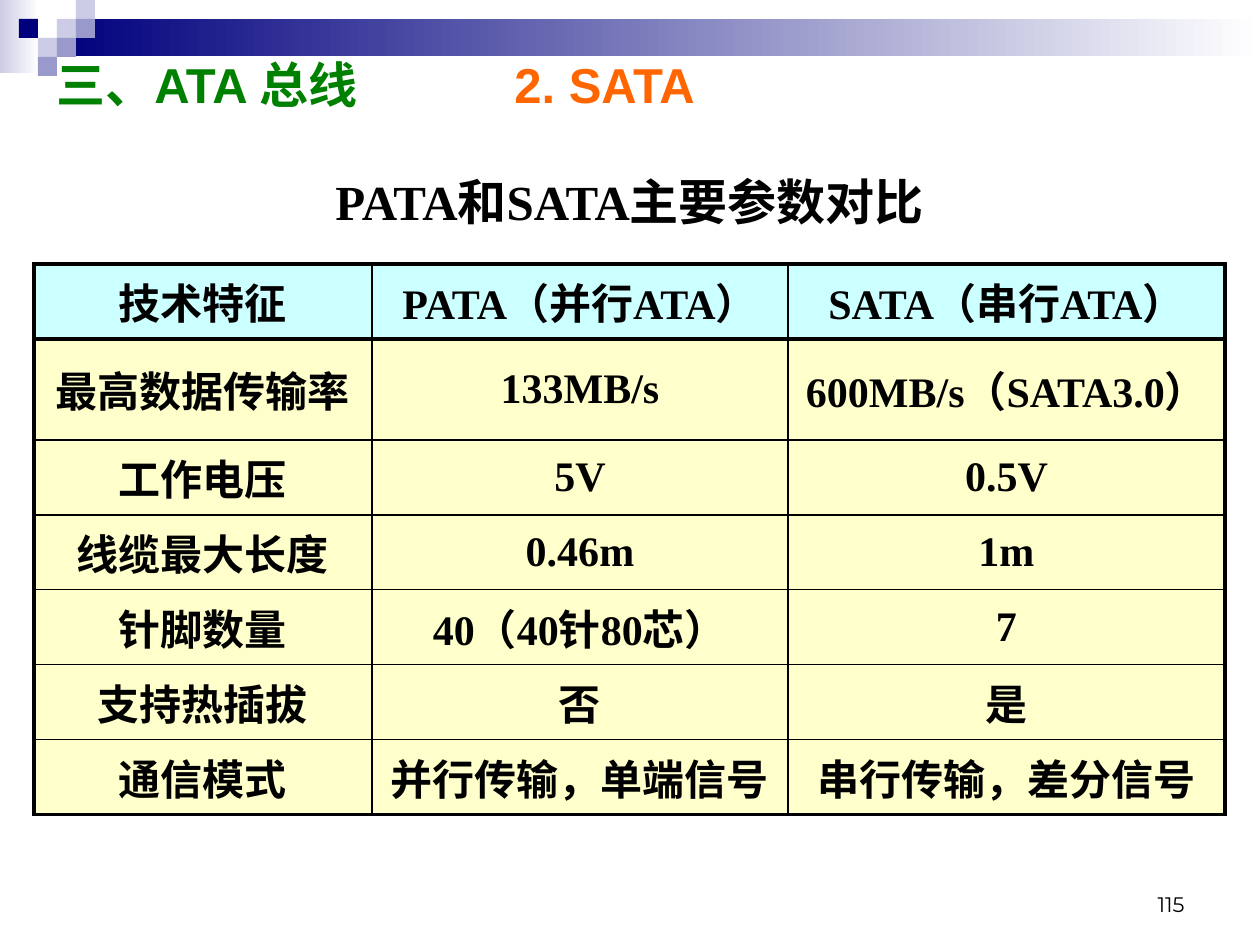
import lxml.etree
import pptx
import pptx.dml.color
import pptx.enum.shapes
import pptx.enum.text
import pptx.oxml.ns
import pptx.util

SCALE = 914400 / 126  # EMU per px
ALIGN = pptx.enum.text.PP_ALIGN
ANCHOR = pptx.enum.text.MSO_ANCHOR
BLACK, NAVY, PALE, MID = "000000", "00007D", "CCCCE6", "9999CC"
SERIF = "Times New Roman"
THIN, THICK = 1, 2.25


def px(n):
    return pptx.util.Emu(round(n * SCALE))


def color(text):
    return pptx.dml.color.RGBColor.from_string(text)


def add_tag(parent, name, **attrs):
    return lxml.etree.SubElement(parent, pptx.oxml.ns.qn(name), attrs)


class Deck:
    def __init__(self, wide, high):
        self.prs = pptx.Presentation()
        self.prs.slide_width, self.prs.slide_height = px(wide), px(high)
        self.slide = self.prs.slides.add_slide(self.prs.slide_layouts[6])

    def rect(self, box, *fills):
        """One fill is solid, two make a gradient from left to right."""
        kind = pptx.enum.shapes.MSO_SHAPE.RECTANGLE
        shape = self.slide.shapes.add_shape(kind, *map(px, box))
        shape.shadow.inherit = False
        shape.line.fill.background()
        if len(fills) == 1:
            shape.fill.solid()
            shape.fill.fore_color.rgb = color(fills[0])
        else:
            shape.fill.gradient()
            shape.fill.gradient_angle = 0
            for stop, tone in zip(shape.fill.gradient_stops, fills):
                stop.color.rgb = color(tone)

    def put(self, par, text, size, face, tone=BLACK, bold=True):
        run = par.add_run()
        run.text = text
        font = run.font
        font.size, font.name, font.bold = pptx.util.Pt(size), face, bold
        font.color.rgb = color(tone)

    def text(self, box, anchor, align):
        frame = self.slide.shapes.add_textbox(*map(px, box)).text_frame
        frame.word_wrap = True
        frame.vertical_anchor = anchor
        par = frame.paragraphs[0]
        par.alignment = align
        return par

    def tab(self, par, pos):
        tabs = add_tag(par._p.get_or_add_pPr(), "a:tabLst")
        add_tag(tabs, "a:tab", pos=str(px(pos)), algn="l")

    def cell(self, cell, text, fill, edges):
        props = cell._tc.get_or_add_tcPr()
        for side, width in edges.items():
            line = add_tag(props, "a:ln" + side, w=str(pptx.util.Pt(width)))
            add_tag(add_tag(line, "a:solidFill"), "a:srgbClr", val=BLACK)
        cell.fill.solid()
        cell.fill.fore_color.rgb = color(fill)
        cell.margin_left = cell.margin_right = px(9)
        cell.margin_top = cell.margin_bottom = 0
        cell.vertical_anchor = ANCHOR.MIDDLE
        par = cell.text_frame.paragraphs[0]
        par.alignment = ALIGN.CENTER
        self.put(par, text, 24, SERIF)

    def table(self, left, top, widths, high, rows):
        count, last = len(rows), len(widths) - 1
        box = (left, top, sum(widths), high * count)
        table = self.slide.shapes.add_table(
            count, len(widths), *map(px, box)).table
        table.first_row = table.horz_banding = False
        for col, width in zip(table.columns, widths):
            col.width = px(width)
        for r, row in enumerate(rows):
            table.rows[r].height = px(high)
            for c, text in enumerate(row):
                edges = {
                    "L": THICK if c == 0 else THIN,
                    "R": THICK if c == last else THIN,
                    "T": THICK if r < 2 else THIN,
                    "B": THICK if r in (0, count - 1) else THIN,
                }
                fill = "FFFFCC" if r else "CCFFFF"
                self.cell(table.cell(r, c), text, fill, edges)


def main():
    deck = Deck(1260, 945)

    # Top band and its squares, on a grid of one square's side
    deck.rect((0, 0, 39, 73), PALE, "FFFFFF")
    deck.rect((57, 19, 1203, 37), NAVY, "FFFFFF")
    side = 19
    squares = [(3, 1, PALE), (4, 0, PALE), (4, 1, MID), (2, 2, PALE),
               (1, 1, NAVY), (3, 2, MID), (2, 3, MID)]
    for col, row, tone in squares:
        deck.rect((col * side, row * side, side, side), tone)

    # Title
    par = deck.text((44, 53, 1191, 62), ANCHOR.MIDDLE, ALIGN.LEFT)
    deck.tab(par, 458)
    deck.put(par, "三、ATA 总线\t", 28, "Arial", "008000")
    deck.put(par, "2. SATA", 28, "Arial", "FF6600")

    # Page number
    par = deck.text((903, 879, 294, 44), ANCHOR.BOTTOM, ALIGN.RIGHT)
    deck.put(par, "115", 12, "Montserrat", bold=False)

    # Table heading
    par = deck.text((34, 165, 1191, 69), ANCHOR.TOP, ALIGN.CENTER)
    deck.put(par, "PATA和SATA主要参数对比", 28, SERIF)

    # Comparison table
    deck.table(34, 264, (338, 416, 437), 75, [
        ("技术特征", "PATA（并行ATA）", "SATA（串行ATA）"),
        ("最高数据传输率", "133MB/s", "600MB/s（SATA3.0）"),
        ("工作电压", "5V", "0.5V"),
        ("线缆最大长度", "0.46m", "1m"),
        ("针脚数量", "40（40针80芯）", "7"),
        ("支持热插拔", "否", "是"),
        ("通信模式", "并行传输，单端信号", "串行传输，差分信号"),
    ])

    deck.prs.save("out.pptx")


if __name__ == "__main__":
    main()
